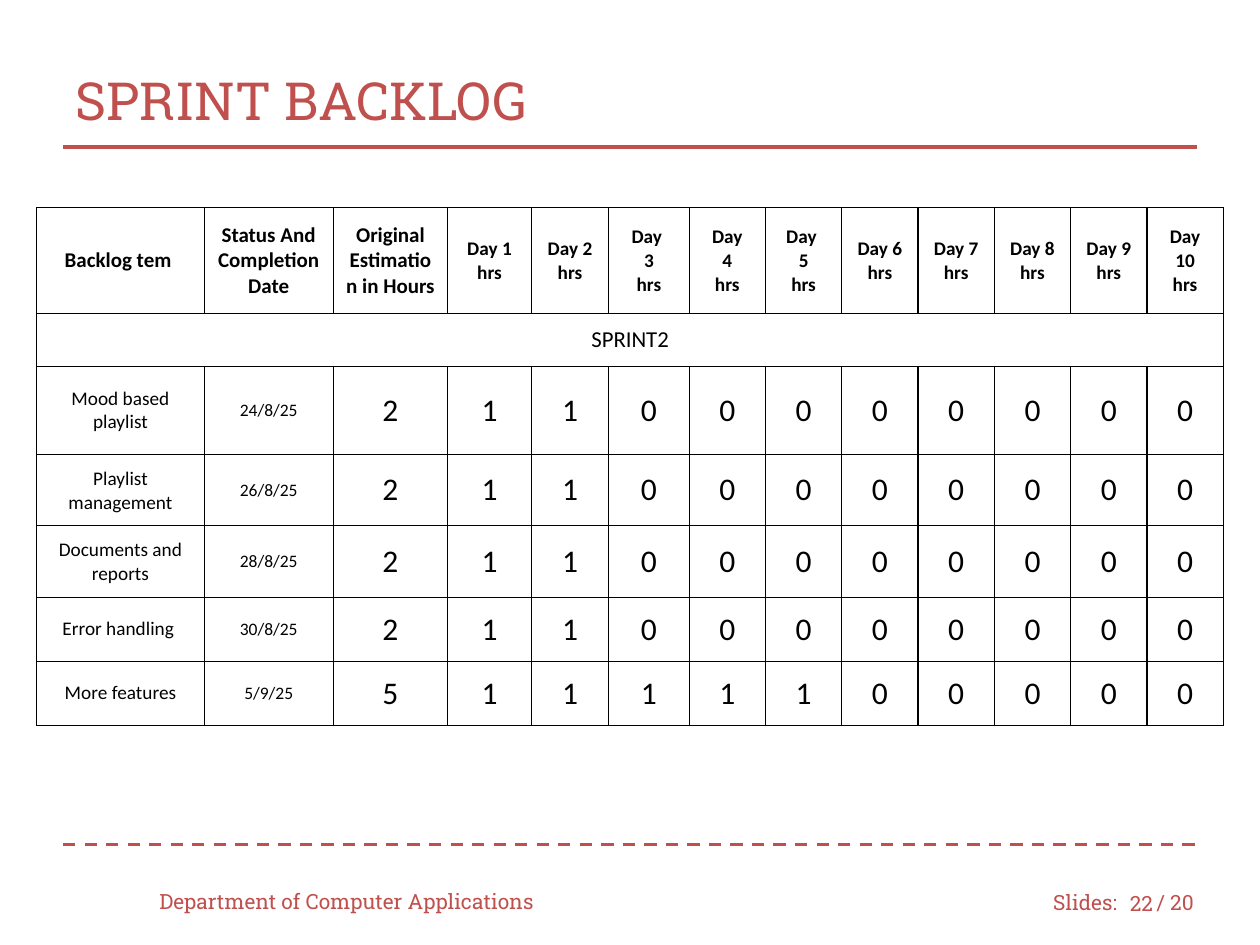
"""Build the sprint backlog slide."""
from dataclasses import dataclass

from lxml import etree
from pptx import Presentation
from pptx.dml.color import RGBColor
from pptx.enum import dml, shapes, text
from pptx.oxml import ns
from pptx.util import Pt


@dataclass(frozen=True)
class Theme:
    accent: str = "C0504D"
    ink: str = "000000"
    paper: str = "FFFFFF"
    slab: str = "Roboto Slab"
    body: str = "Calibri"
    title: float = 30
    footer: float = 12
    heading: float = 12
    day: float = 11
    sprint: float = 13
    item: float = 11
    date: float = 10
    hours: float = 18
    rule: float = 1.75
    border: float = 0.75


THEME = Theme()
LEFT, CENTER, RIGHT = text.PP_ALIGN.LEFT, text.PP_ALIGN.CENTER, text.PP_ALIGN.RIGHT
DAYS = 10
COLUMN_WIDTHS = [95.7, 73.7, 65.5, 47.8, 44.2, 46] + [43.6] * 7
ROW_HEIGHTS = [60.5, 27.5, 50.3] + [36.6] * 4
HEADINGS = ["Backlog tem ", "Status And Completion Date", "Original Estimation in Hours "]
STACKED_DAYS = {3: "Day \n3\nhrs", 4: "Day\n4\nhrs", 5: "Day \n5\nhrs"}
BACKLOG = [
    ("Mood based playlist", "24/8/25", 2, 2),
    ("Playlist management", "26/8/25", 2, 2),
    ("Documents and reports", "28/8/25", 2, 2),
    ("Error handling ", "30/8/25", 2, 2),
    ("More features", "5/9/25", 5, 5),
]


def write(frame, wording, size, font, color, align, bold=False):
    frame.text = wording
    frame.word_wrap = True
    for paragraph in frame.paragraphs:
        paragraph.alignment = align
        for run in paragraph.runs:
            run.font.size = Pt(size)
            run.font.name = font
            run.font.bold = bold
            run.font.color.rgb = RGBColor.from_string(color)


def add_label(slide, wording, left, top, width, height, size, align=LEFT):
    label = slide.shapes.add_textbox(Pt(left), Pt(top), Pt(width), Pt(height))
    label.text_frame.vertical_anchor = text.MSO_ANCHOR.MIDDLE
    write(label.text_frame, wording, size, THEME.slab, THEME.accent, align)


def add_rule(slide, top, dash=None):
    rule = slide.shapes.add_connector(
        shapes.MSO_CONNECTOR.STRAIGHT, Pt(36), Pt(top), Pt(684), Pt(top))
    rule.line.color.rgb = RGBColor.from_string(THEME.accent)
    rule.line.width = Pt(THEME.rule)
    if dash:
        rule.line.dash_style = dash
    etree.SubElement(rule._element.spPr, ns.qn("a:effectLst"))


def style_cell(cell):
    cell.vertical_anchor = text.MSO_ANCHOR.MIDDLE
    cell.margin_left = cell.margin_right = cell.margin_top = cell.margin_bottom = Pt(7.2)
    properties = cell._tc.get_or_add_tcPr()
    for side in ("lnL", "lnR", "lnT", "lnB"):
        border = etree.SubElement(properties, ns.qn(f"a:{side}"), w=str(Pt(THEME.border)))
        fill = etree.SubElement(border, ns.qn("a:solidFill"))
        etree.SubElement(fill, ns.qn("a:srgbClr"), val=THEME.ink)
    cell.fill.solid()
    cell.fill.fore_color.rgb = RGBColor.from_string(THEME.paper)


def fill_row(table, row, wordings, sizes, bold=False):
    for column, (wording, size) in enumerate(zip(wordings, sizes)):
        write(table.cell(row, column).text_frame, wording, size,
              THEME.body, THEME.ink, CENTER, bold)


def add_backlog(slide):
    backlog = slide.shapes.add_table(
        len(ROW_HEIGHTS), len(COLUMN_WIDTHS), Pt(21), Pt(118.8),
        Pt(sum(COLUMN_WIDTHS)), Pt(sum(ROW_HEIGHTS))).table
    backlog.horz_banding = False
    for column, width in zip(backlog.columns, COLUMN_WIDTHS):
        column.width = Pt(width)
    for row, height in zip(backlog.rows, ROW_HEIGHTS):
        row.height = Pt(height)
    for cell in backlog.iter_cells():
        style_cell(cell)

    days = [STACKED_DAYS.get(day, f"Day {day}\nhrs") for day in range(1, DAYS + 1)]
    fill_row(backlog, 0, HEADINGS + days,
             [THEME.heading] * len(HEADINGS) + [THEME.day] * DAYS, bold=True)
    backlog.cell(1, 0).merge(backlog.cell(1, len(COLUMN_WIDTHS) - 1))
    fill_row(backlog, 1, ["SPRINT2"], [THEME.sprint])
    item_sizes = [THEME.item, THEME.date] + [THEME.hours] * (DAYS + 1)
    for row, (item, date, estimate, worked_days) in enumerate(BACKLOG, start=2):
        hours = ["1"] * worked_days + ["0"] * (DAYS - worked_days)
        fill_row(backlog, row, [item, date, str(estimate)] + hours, item_sizes)


def main():
    deck = Presentation()
    deck.slide_width, deck.slide_height = Pt(720), Pt(540)
    slide = deck.slides.add_slide(deck.slide_layouts[6])
    add_label(slide, "Slides:", 594.7, 501.1, 54, 28.8, THEME.footer)
    add_label(slide, "/ 20", 653.8, 501.1, 41.8, 28.8, THEME.footer)
    add_rule(slide, 482.4, dml.MSO_LINE.DASH)
    add_rule(slide, 84)
    add_label(slide, "SPRINT BACKLOG", 36, 24, 648, 66, THEME.title)
    add_label(slide, "Department of Computer Applications", 84, 500.4, 240, 28.8, THEME.footer)
    add_label(slide, "22", 635.8, 501.8, 30.2, 28.8, THEME.footer, RIGHT)
    add_backlog(slide)
    deck.save("out.pptx")


if __name__ == "__main__":
    main()
